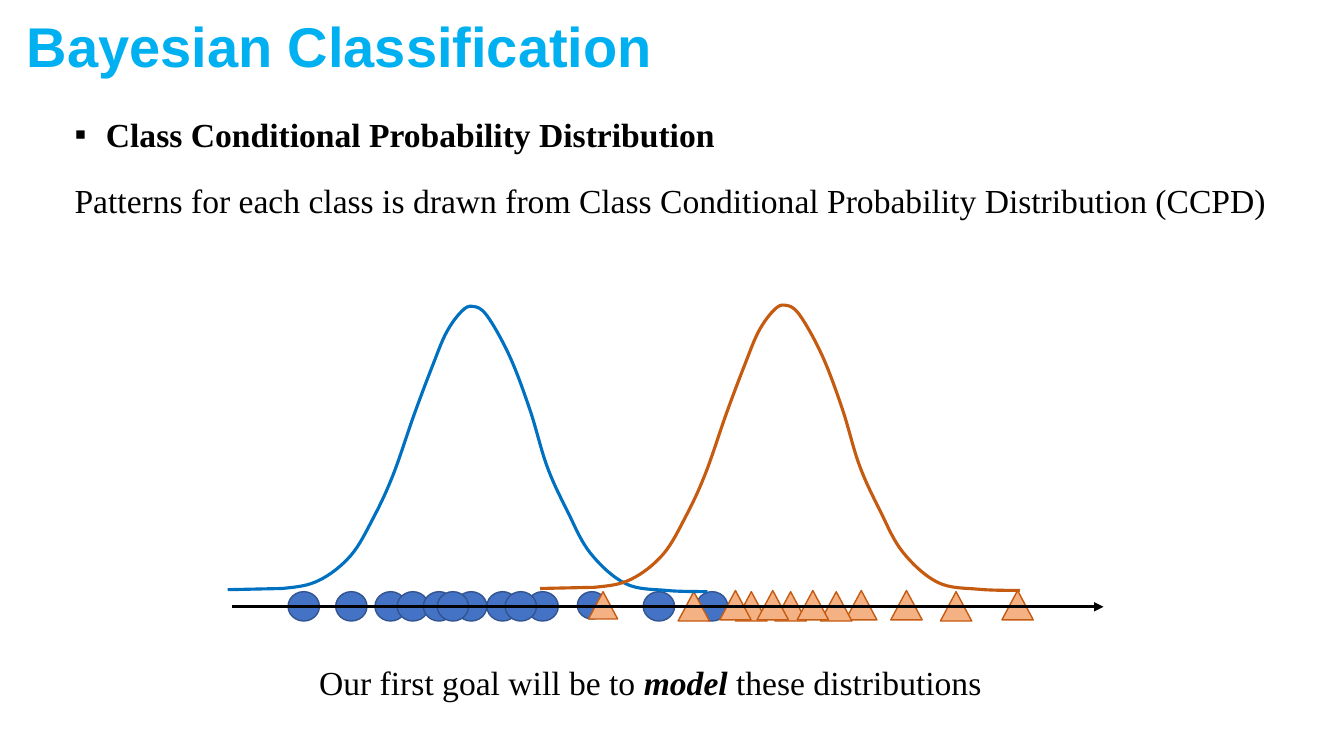
from pptx import Presentation
from pptx.dml.color import RGBColor
from pptx.enum.shapes import MSO_CONNECTOR, MSO_SHAPE
from pptx.enum.text import MSO_ANCHOR, MSO_AUTO_SIZE, PP_ALIGN
from pptx.oxml.ns import qn
from pptx.util import Cm, Pt
from lxml import etree

OVAL, TRI = MSO_SHAPE.OVAL, MSO_SHAPE.ISOSCELES_TRIANGLE
LEFT, MID = PP_ALIGN.LEFT, PP_ALIGN.CENTER
INK = {"title": "00B0F0", "text": "000000", "dot": "4472C4", "rim": "325491",
       "tri": "F4B183", "edge": "C55A11", "blue": "0070C0"}


def color(name):
    return RGBColor.from_string(INK[name])


def write(box, place, runs, size=24, face="Times New Roman", ink="text",
          bold=False, align=LEFT):
    box.left, box.top, box.width, box.height = [Cm(v) for v in place]
    frame = box.text_frame
    frame.word_wrap = True
    frame.auto_size = MSO_AUTO_SIZE.NONE
    frame.vertical_anchor = MSO_ANCHOR.TOP
    para = frame.paragraphs[0]
    para.alignment = align
    for words, strong in runs:
        run = para.add_run()
        run.text = words
        if strong:
            run.font.bold = run.font.italic = True
    para.font.size, para.font.name, para.font.bold = Pt(size), face, bold
    para.font.color.rgb = color(ink)


deck = Presentation()
deck.slide_width, deck.slide_height = Cm(33.87), Cm(19.05)
slide = deck.slides.add_slide(deck.slide_layouts[5])
shapes = slide.shapes

# Title
write(shapes.title, (0.42, 0.17, 26.19, 1.96), [("Bayesian Classification", False)],
      40, "Arial", "title", True)

# Heading with square bullet
box = shapes.add_textbox(0, 0, 0, 0)
props = box.text_frame.paragraphs[0]._p.get_or_add_pPr()
props.set("marL", str(Cm(0.79)))
props.set("indent", str(-Cm(0.79)))
etree.SubElement(props, qn("a:buFont")).set("typeface", "Arial")
etree.SubElement(props, qn("a:buChar")).set("char", "▪")
write(box, (1.63, 2.75, 23.77, 1.27),
      [("Class Conditional Probability Distribution", False)], bold=True)

# Body and closing line
write(shapes.add_textbox(0, 0, 0, 0), (1.63, 4.41, 30.84, 1.27),
      [("Patterns for each class is drawn from Class Conditional Probability "
        "Distribution (CCPD)", False)])
write(shapes.add_textbox(0, 0, 0, 0), (7.54, 16.56, 17.7, 1.27),
      [("Our first goal will be to ", False), ("model", True),
       (" these distributions", False)], align=MID)

# Samples of both classes: left, top, scale
LOW, HIGH = 14.91, 14.88
dots = [(x, LOW, 1) for x in (7.26, 9.45, 8.46, 10.01, 10.67, 11.48, 12.27, 13.28)]
dots += [(14.55, LOW, 0.93)]
dots += [(x, LOW, 1) for x in (16.21, 17.55, 11.02, 12.73)]
tris = [(21.31, HIGH, 1), (22.45, HIGH, 1), (18.54, LOW, 1), (20.68, LOW, 1),
        (19.53, LOW, 1), (19.08, HIGH, 1), (17.09, LOW, 1), (14.83, LOW, 0.93),
        (20.09, HIGH, 1), (18.14, HIGH, 1), (23.7, LOW, 1), (25.25, HIGH, 1)]
for kind, marks, fill, rim in ((OVAL, dots, "dot", "rim"), (TRI, tris, "tri", "edge")):
    for x, y, scale in marks:
        mark = shapes.add_shape(kind, Cm(x), Cm(y), Cm(0.79 * scale), Cm(0.74 * scale))
        mark.shadow.inherit = False
        mark.fill.solid()
        mark.fill.fore_color.rgb = color(fill)
        mark.line.color.rgb = color(rim)
        mark.line.width = Pt(1)

# Axis arrow
axis = shapes.add_connector(MSO_CONNECTOR.STRAIGHT, Cm(5.84), Cm(15.29), Cm(27.81), Cm(15.29))
axis.line.color.rgb = color("text")
axis.line.width = Pt(2.25)
etree.SubElement(axis.line._get_or_add_ln(), qn("a:tailEnd")).set("type", "triangle")
etree.SubElement(axis._element.spPr, qn("a:effectLst"))

# Bell curves: knots joined by smooth cubic segments after a straight start
knots = [(5.74, 14.86), (7.11, 14.83), (8.03, 14.63), (8.84, 14), (9.42, 13.03),
         (9.91, 11.96), (10.44, 10.44), (10.9, 9.22), (11.25, 8.38), (11.63, 7.85),
         (11.91, 7.72), (12.27, 7.95), (12.85, 8.99), (13.36, 10.34), (13.79, 11.76),
         (14.3, 12.88), (14.88, 13.94), (15.77, 14.71), (16.81, 14.88), (17.83, 14.91)]
for dx, dy, ink in ((0, 0, "blue"), (7.87, -0.03, "edge")):
    route = [(Cm(x + dx), Cm(y + dy)) for x, y in knots]
    pen = shapes.build_freeform(*route[0])
    pen.add_line_segments(route[1:], close=False)
    curve = pen.convert_to_shape()
    curve.shadow.inherit = False
    curve.fill.background()
    curve.line.color.rgb = color(ink)
    curve.line.width = Pt(2.25)
    spots = [(int(p.get("x")), int(p.get("y"))) for p in curve._element.iter(qn("a:pt"))]
    spots.append(spots[-1])
    parts = list(curve._element.iter(qn("a:lnTo")))[1:]
    for part, a, b, c, d in zip(parts, spots, spots[1:], spots[2:], spots[3:]):
        part.tag = qn("a:cubicBezTo")
        pulls = [[b[i] + (c[i] - a[i]) // 6 for i in (0, 1)],
                 [c[i] - (d[i] - b[i]) // 6 for i in (0, 1)]]
        for spot, (x, y) in enumerate(pulls):
            part.insert(spot, etree.Element(qn("a:pt"), x=str(x), y=str(y)))

deck.save("out.pptx")
